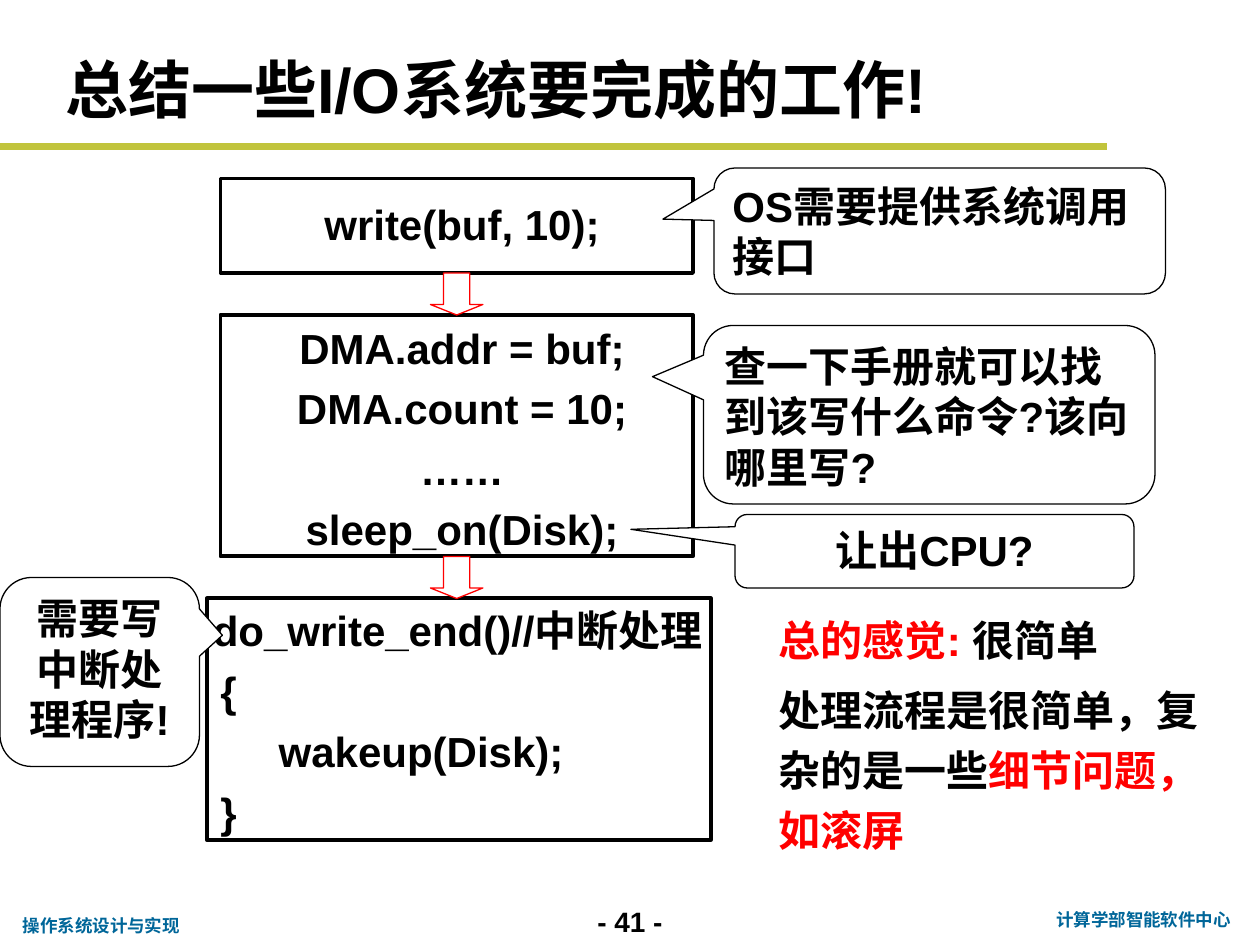
from dataclasses import dataclass

import pptx
import pptx.dml.color
import pptx.enum.shapes
import pptx.enum.text
import pptx.oxml
import pptx.util

RGBColor = pptx.dml.color.RGBColor
BLACK = RGBColor(0x00, 0x00, 0x00)
WHITE = RGBColor(0xFF, 0xFF, 0xFF)
RED = RGBColor(0xFF, 0x00, 0x00)
OLIVE = RGBColor(0xC1, 0xC4, 0x3C)
TEAL = RGBColor(0x00, 0x66, 0x99)

SHAPE = pptx.enum.shapes.MSO_SHAPE
LEFT = pptx.enum.text.PP_ALIGN.LEFT
CENTER = pptx.enum.text.PP_ALIGN.CENTER
TOP = pptx.enum.text.MSO_ANCHOR.TOP
MIDDLE = pptx.enum.text.MSO_ANCHOR.MIDDLE

EMU_PER_PX = 914400 // 120  # 120 px to the inch


@dataclass
class Area:
    left: int
    top: int
    width: int
    height: int

    def emu(self) -> list[int]:
        return [v * EMU_PER_PX for v in (self.left, self.top, self.width, self.height)]


@dataclass
class Step:
    frame: Area
    text_area: Area
    lines: list[str]
    first_only_centered: bool = False


@dataclass
class Callout:
    area: Area
    tip: tuple[float, float]  # offset from the centre, in widths and heights
    text: str
    align: int = LEFT


def write_text(shape, paragraphs, *, size=24, font="Arial", color=BLACK, align=LEFT,
               anchor=TOP, wrap=True, space_before=0, line_spacing=None):
    """Fill a shape; a paragraph is a string or a list of (text, color) spans."""
    frame = shape.text_frame
    frame.word_wrap = wrap
    frame.auto_size = pptx.enum.text.MSO_AUTO_SIZE.NONE
    frame.vertical_anchor = anchor
    for index, content in enumerate(paragraphs):
        para = frame.add_paragraph() if index else frame.paragraphs[0]
        para.alignment = align
        para.space_before = pptx.util.Pt(space_before if index else 0)
        if line_spacing:
            para.line_spacing = line_spacing
        spans = [(content, color)] if isinstance(content, str) else content
        for text, span_color in spans:
            span = para.add_run()
            span.text = text
            span.font.size = pptx.util.Pt(size)
            span.font.name = font
            span.font.bold = True
            span.font.color.rgb = span_color


def add_text(page, area: Area, paragraphs, **text_format):
    box = page.shapes.add_textbox(*area.emu())
    write_text(box, paragraphs, **text_format)
    return box


def add_outlined(page, kind, area: Area, line_color: RGBColor, line_width: float):
    shape = page.shapes.add_shape(kind, *area.emu())
    shape.shadow.inherit = False
    shape.fill.solid()
    shape.fill.fore_color.rgb = WHITE
    shape.line.color.rgb = line_color
    shape.line.width = pptx.util.Pt(line_width)
    return shape


def add_step(page, step: Step):
    add_outlined(page, SHAPE.RECTANGLE, step.frame, BLACK, 2.25)
    box = add_text(page, step.text_area, step.lines, align=CENTER, space_before=5.8)
    if step.first_only_centered:
        for para in box.text_frame.paragraphs[1:]:
            para.alignment = LEFT


def add_callout(page, callout: Callout):
    shape = add_outlined(page, SHAPE.ROUNDED_RECTANGULAR_CALLOUT, callout.area, BLACK, 0.75)
    for index, value in enumerate((*callout.tip, 0.167)):
        shape.adjustments[index] = value
    write_text(shape, [callout.text], align=callout.align)


def add_rule(page, y: int, width: int):
    end = width * EMU_PER_PX
    rule = page.shapes.add_connector(
        pptx.enum.shapes.MSO_CONNECTOR.STRAIGHT, 0, y * EMU_PER_PX, end, y * EMU_PER_PX)
    rule.line.color.rgb = OLIVE
    rule.line.width = pptx.util.Pt(4)
    properties = rule.line._get_or_add_ln().getparent()
    properties.append(pptx.oxml.parse_xml(
        '<a:effectLst xmlns:a="http://schemas.openxmlformats.org/drawingml/2006/main"/>'))


STEPS = [
    Step(Area(210, 170, 450, 90), Area(220, 183, 440, 60), ["write(buf, 10);"]),
    Step(Area(210, 300, 450, 230), Area(220, 301, 440, 232),
         ["DMA.addr = buf;", "DMA.count = 10;", "……", "sleep_on(Disk);"]),
    Step(Area(197, 570, 480, 230), Area(176, 570, 520, 235),
         ["do_write_end()//中断处理", "  {", "       wakeup(Disk);", "  }"],
         first_only_centered=True),
]

CALLOUTS = [
    Callout(Area(680, 160, 430, 120), (-0.613, -0.094), "OS需要提供系统调用接口"),
    Callout(Area(670, 310, 430, 170), (-0.613, -0.213),
            "查一下手册就可以找到该写什么命令?该向哪里写?"),
    Callout(Area(700, 490, 380, 70), (-0.761, -0.298), "让出CPU?", CENTER),
    Callout(Area(0, 550, 190, 180), (0.615, -0.194), "需要写中断处理程序!", CENTER),
]


def main():
    deck = pptx.Presentation()
    deck.slide_width, deck.slide_height = 1200 * EMU_PER_PX, 900 * EMU_PER_PX
    page = deck.slides.add_slide(deck.slide_layouts[5])

    # Title and rule
    title = page.shapes.title
    title.left, title.top, title.width, title.height = Area(50, 40, 1030, 89).emu()
    write_text(title, ["总结一些I/O系统要完成的工作!"], size=36, anchor=MIDDLE)
    add_rule(page, 140, 1054)

    # Footer
    add_text(page, Area(540, 856, 120, 44), ["- 41 -"], size=16, align=CENTER)
    add_text(page, Area(990, 860, 198, 32), ["计算学部智能软件中心"],
             size=10, font="Roboto", color=TEAL, align=CENTER)
    add_text(page, Area(10, 866, 175, 32), ["操作系统设计与实现"],
             size=10, font="Roboto", color=TEAL, wrap=False)

    # Code steps, joined by arrows
    for step in STEPS:
        add_step(page, step)
    for step in STEPS[:-1]:
        bottom = step.frame.top + step.frame.height
        arrow = add_outlined(page, SHAPE.DOWN_ARROW, Area(410, bottom, 50, 40), RED, 0.75)
        arrow.adjustments[0], arrow.adjustments[1] = 0.5, 0.25

    # Remarks on the steps
    for callout in CALLOUTS:
        add_callout(page, callout)

    # Summary
    add_text(page, Area(730, 560, 360, 79), [[("总的感觉: ", RED), ("很简单", BLACK)]],
             line_spacing=1.4)
    add_text(page, Area(730, 636, 430, 185),
             [[("处理流程是很简单，复杂的是一些", BLACK), ("细节问题，如滚屏", RED)]],
             line_spacing=1.2)

    deck.save("out.pptx")


if __name__ == "__main__":
    main()
